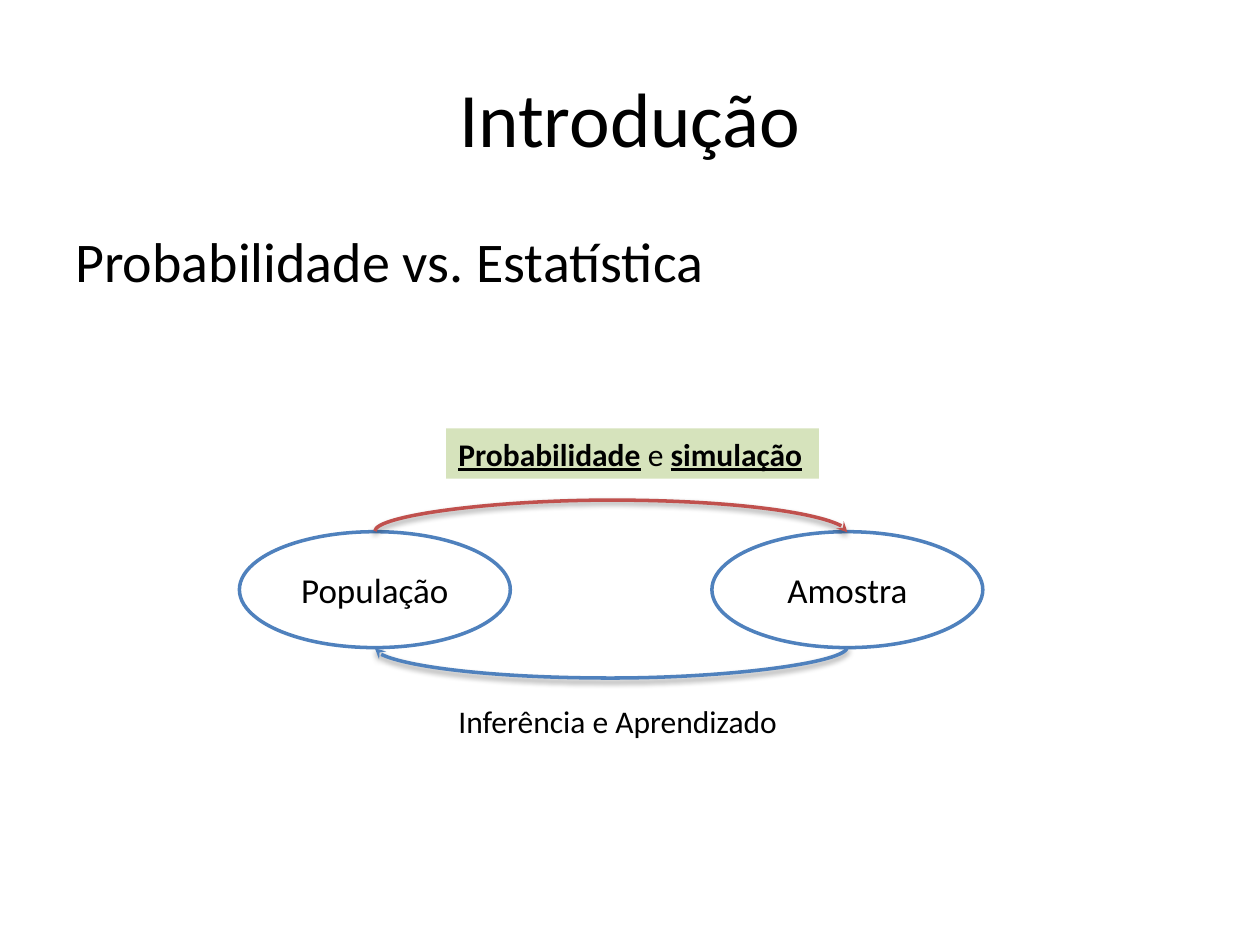
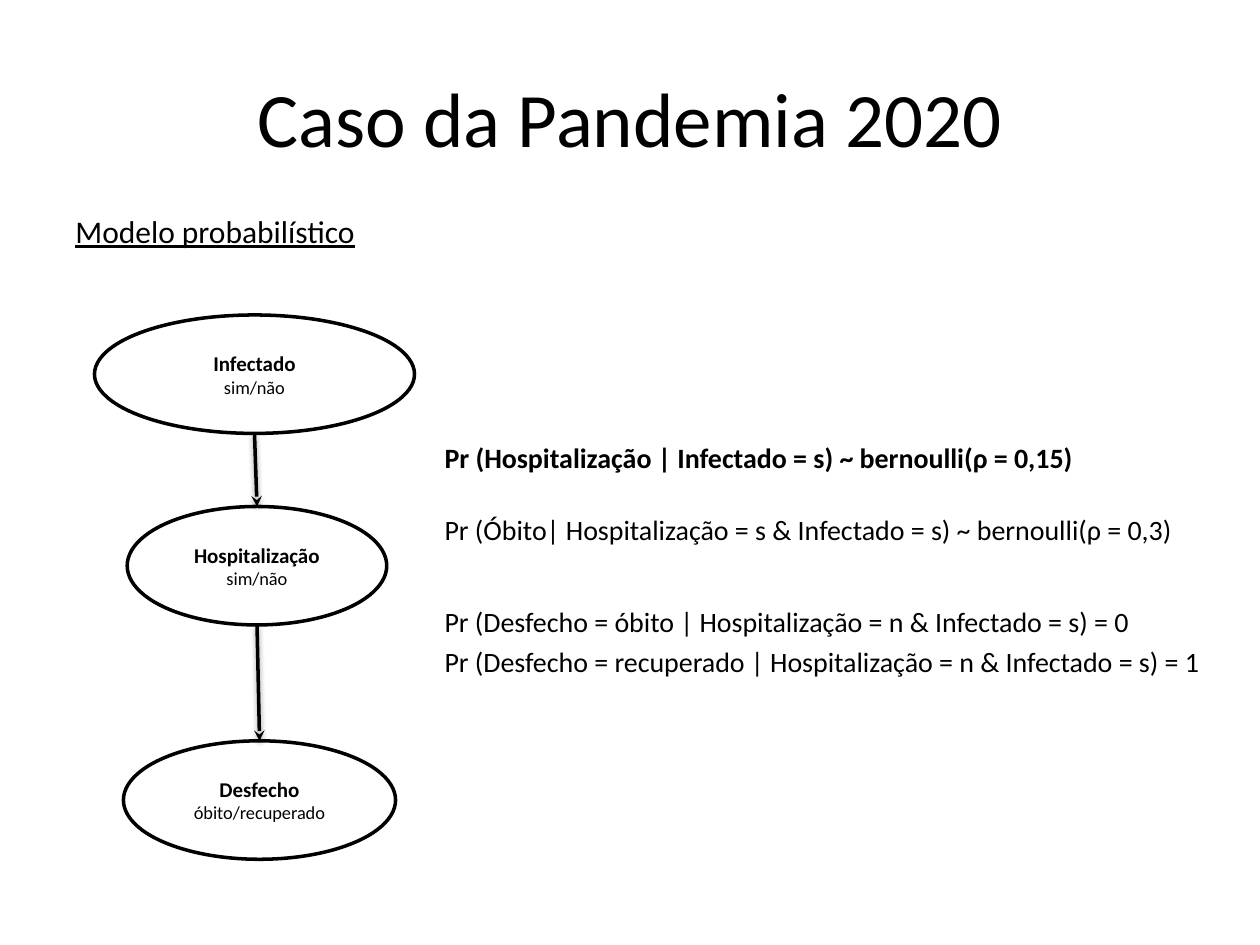
from lxml import etree
from pptx import Presentation
from pptx.dml.color import RGBColor
from pptx.enum.shapes import MSO_CONNECTOR, MSO_SHAPE
from pptx.enum.text import MSO_ANCHOR, PP_ALIGN
from pptx.oxml import parse_xml
from pptx.oxml.ns import nsdecls, qn
from pptx.util import Inches, Pt

OVAL, RECTANGLE = MSO_SHAPE.OVAL, MSO_SHAPE.RECTANGLE
CURVE, STRAIGHT = MSO_CONNECTOR.CURVE, MSO_CONNECTOR.STRAIGHT
LEFT, CENTER = PP_ALIGN.LEFT, PP_ALIGN.CENTER
TOP, MIDDLE = MSO_ANCHOR.TOP, MSO_ANCHOR.MIDDLE
TOP_SITE, BOTTOM_SITE = 0, 2
OVAL_BOTTOM_SITE = "4"  # an ellipse has eight connection sites

FONT = "Calibri"
BLACK, WHITE = "000000", "FFFFFF"
BLUE, RED, GREEN = "4F81BD", "C0504D", "D6E3BC"
LINE_WIDTH = Pt(2)
MARGIN = 0.5
CONTENT_WIDTH = 10 - 2 * MARGIN

SHADOW = f"""<a:effectLst {nsdecls("a")}>
  <a:outerShdw blurRad="40000" dist="20000" dir="5400000" rotWithShape="0">
    <a:srgbClr val="000000"><a:alpha val="38000"/></a:srgbClr>
  </a:outerShdw>
</a:effectLst>"""


def add_label(slide, box, paragraphs, size, kind=None, fill=None, line=None,
              align=LEFT, anchor=TOP):
    """Add a text box, or a shape of the given kind.

    Each paragraph is a list of (text, style) runs; style holds "b" for bold,
    "u" for underlined and "s" for the small size.
    """
    box = [Inches(length) for length in box]
    if kind is None:
        shape = slide.shapes.add_textbox(*box)
    else:
        shape = slide.shapes.add_shape(kind, *box)
        shape.shadow.inherit = False
        shape.fill.solid()
        shape.fill.fore_color.rgb = RGBColor.from_string(fill)
        if line:
            shape.line.color.rgb = RGBColor.from_string(line)
            shape.line.width = LINE_WIDTH
        else:
            shape.line.fill.background()
    frame = shape.text_frame
    frame.word_wrap = True
    frame.vertical_anchor = anchor
    for index, runs in enumerate(paragraphs):
        paragraph = frame.add_paragraph() if index else frame.paragraphs[0]
        paragraph.alignment = align
        for text, style in runs:
            run = paragraph.add_run()
            run.text = text
            run.font.name = FONT
            run.font.size = Pt(10.5 if "s" in style else size)
            run.font.bold = "b" in style
            run.font.underline = "u" in style
            run.font.color.rgb = RGBColor.from_string(BLACK)
    return shape


def add_arrow(slide, kind, start, start_site, end, end_site, color):
    arrow = slide.shapes.add_connector(kind, 0, 0, 0, 0)
    arrow.begin_connect(start, start_site)
    arrow.end_connect(end, end_site)
    for tag, site in (("a:stCxn", start_site), ("a:endCxn", end_site)):
        if site == BOTTOM_SITE:
            next(arrow.element.iter(qn(tag))).set("idx", OVAL_BOTTOM_SITE)
    arrow.line.color.rgb = RGBColor.from_string(color)
    arrow.line.width = LINE_WIDTH
    outline = arrow.element.spPr.find(qn("a:ln"))
    etree.SubElement(outline, qn("a:tailEnd"), type="stealth")
    arrow.element.spPr.append(parse_xml(SHADOW))
    return arrow


presentation = Presentation()
presentation.slide_width, presentation.slide_height = Inches(10), Inches(7.5)
slides = []
for title in ("Introdução", "Caso da Pandemia 2020"):
    slide = presentation.slides.add_slide(presentation.slide_layouts[6])
    add_label(slide, (MARGIN, 0.3, CONTENT_WIDTH, 1.25), [[(title, "")]], 44,
              align=CENTER, anchor=MIDDLE)
    slides.append(slide)
introduction, pandemic = slides

# Introduction: the cycle between population and sample
add_label(introduction, (MARGIN, 1.75, CONTENT_WIDTH, 4.95),
          [[("Probabilidade vs. Estatística", "")]], 32)

oval_left, oval_top, oval_width, oval_height, oval_step = 1.9, 4.22, 2.15, 0.92, 3.75
population, sample = [
    add_label(introduction, (oval_left + column * oval_step, oval_top, oval_width, oval_height),
              [[(name, "")]], 20, OVAL, WHITE, BLUE, CENTER, MIDDLE)
    for column, name in enumerate(("População", "Amostra"))]

# A curve is a thin upright box turned on its side; its bend is a multiple of its width
curve_width, curve_bend = 0.01, 0.25
curve_center = oval_left + (oval_width + oval_step) / 2
for start, end, site, color, level, rotation, flip, direction in (
        (population, sample, TOP_SITE, RED, oval_top, 270, "1", -1),
        (sample, population, BOTTOM_SITE, BLUE, oval_top + oval_height, 90, "0", 1)):
    curve = add_arrow(introduction, CURVE, start, site, end, site, color)
    curve.left = Inches(curve_center - curve_width / 2)
    curve.top = Inches(level - oval_step / 2)
    curve.width, curve.height = Inches(curve_width), Inches(oval_step)
    curve.rotation = rotation
    transform = curve.element.spPr.find(qn("a:xfrm"))
    transform.set("flipH", flip)
    transform.set("flipV", "0")  # connecting the ends leaves a vertical flip behind
    bend = round(direction * curve_bend / curve_width * 100000)
    adjustments = next(curve.element.iter(qn("a:avLst")))
    etree.SubElement(adjustments, qn("a:gd"), name="adj1", fmla=f"val {bend}")

add_label(introduction, (3.54, 3.4, 2.96, 0.4),
          [[("Probabilidade", "bu"), (" e ", ""), ("simulação", "bu")]], 18,
          RECTANGLE, GREEN)
add_label(introduction, (3.54, 5.52, 2.8, 0.4), [[("Inferência e Aprendizado", "")]], 18)

# Pandemic: chain of states on the left, their probabilities on the right
add_label(pandemic, (MARGIN, 1.63, 2.5, 0.4), [[("Modelo probabilístico", "u")]], 18)

states = [
    add_label(pandemic, (left, top, width, 0.94), [[(name, "b")], [(values, "s")]], 12,
              OVAL, WHITE, BLACK, CENTER, MIDDLE)
    for left, top, width, name, values in (
        (0.75, 2.5, 2.54, "Infectado", "sim/não"),
        (1.01, 4.02, 2.06, "Hospitalização", "sim/não"),
        (0.98, 5.88, 2.16, "Desfecho", "óbito/recuperado"))]
for start, end in zip(states, states[1:]):
    add_arrow(pandemic, STRAIGHT, start, BOTTOM_SITE, end, TOP_SITE, BLACK)

for top, formula, style in (
        (3.45, "Pr (Hospitalização | Infectado = s) ~ bernoulli(ρ = 0,15)", "b"),
        (4.02, "Pr (Óbito| Hospitalização = s & Infectado = s) ~ bernoulli(ρ = 0,3)", ""),
        (4.75, "Pr (Desfecho = óbito | Hospitalização = n & Infectado = s) = 0", ""),
        (5.07, "Pr (Desfecho = recuperado | Hospitalização = n & Infectado = s) = 1", "")):
    add_label(pandemic, (3.43, top, 6.4, 0.37), [[(formula, style)]], 16)

presentation.save("out.pptx")
